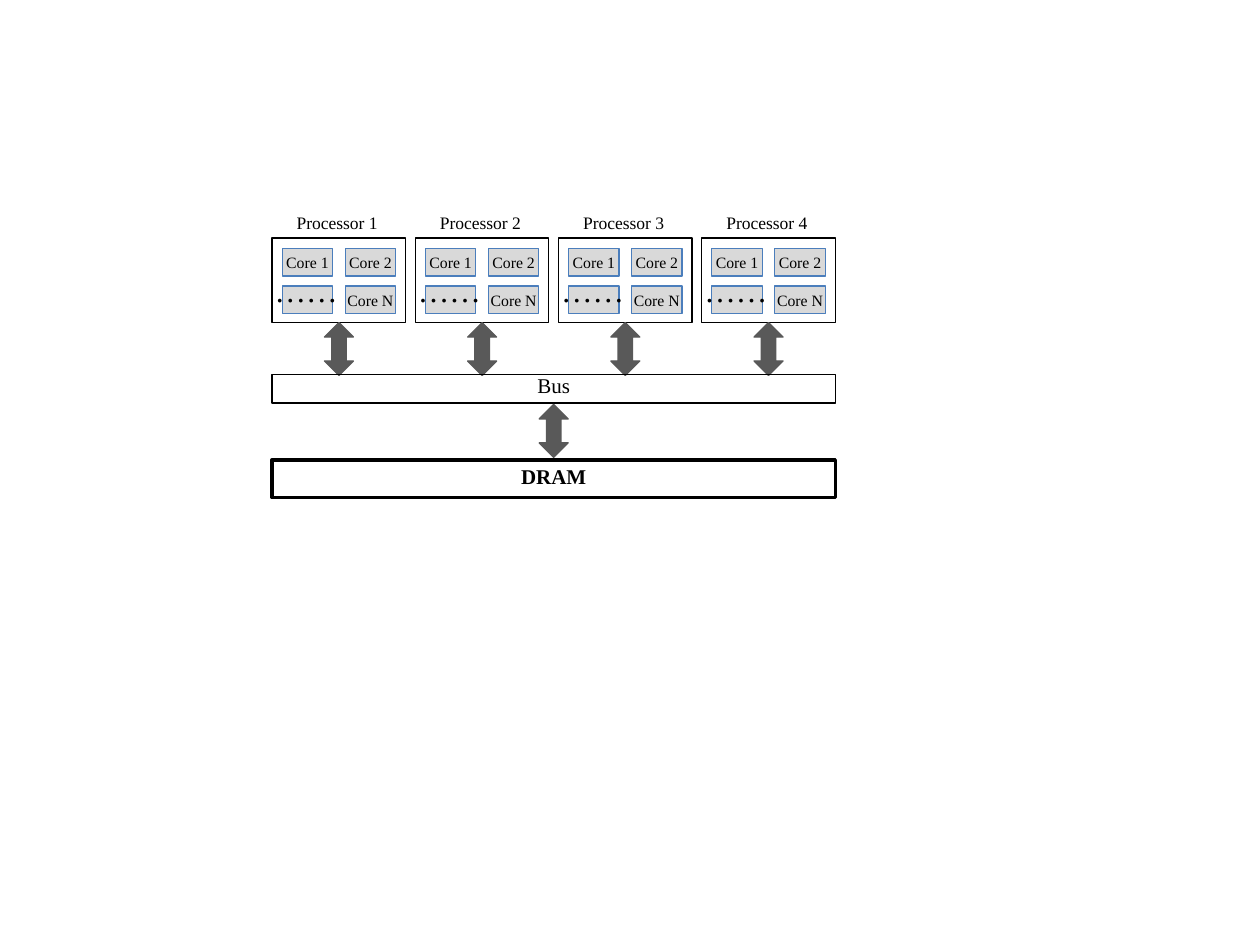
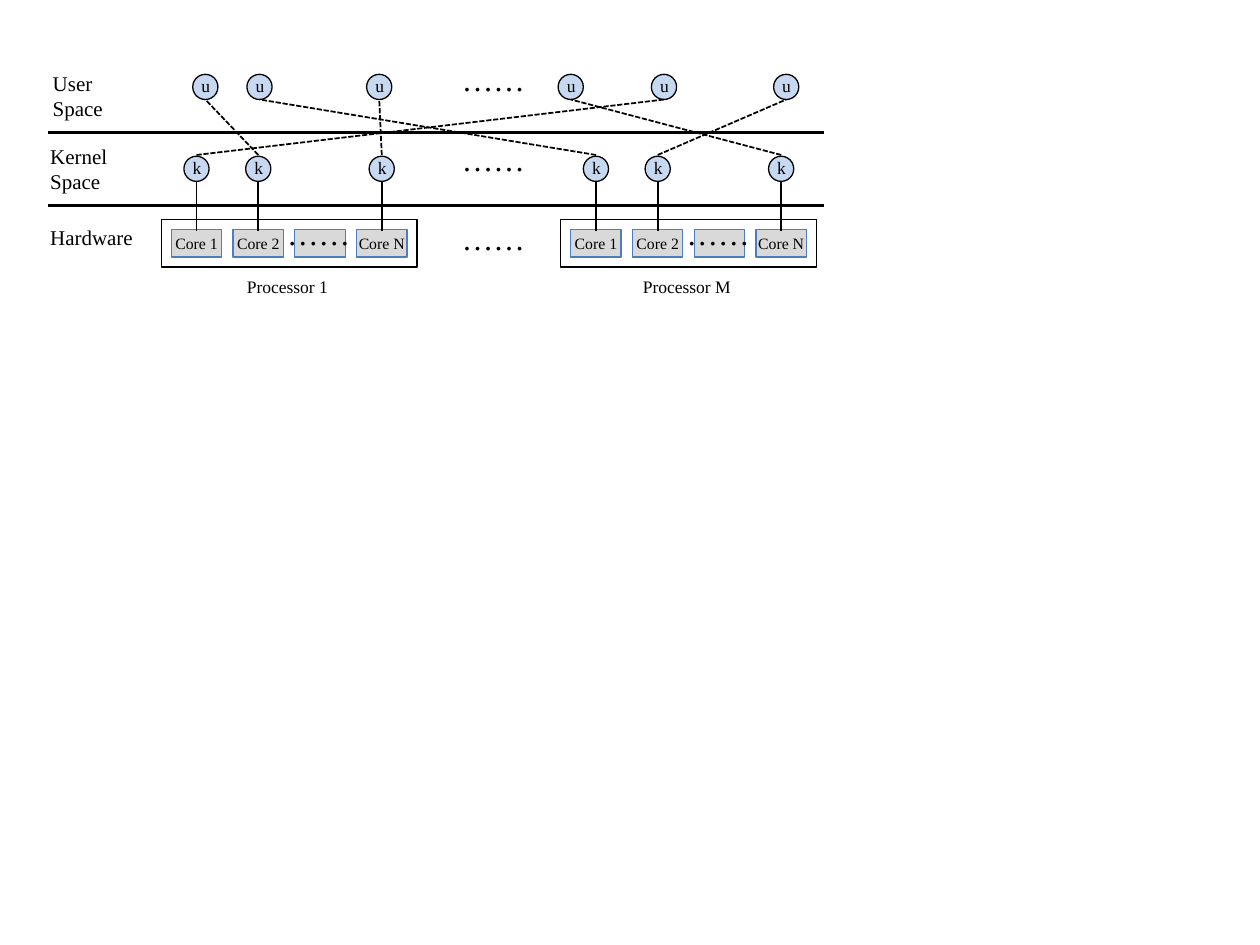
from pptx import Presentation
from pptx.dml.color import RGBColor
from pptx.enum.dml import MSO_LINE
from pptx.enum.shapes import MSO_CONNECTOR, MSO_SHAPE
from pptx.enum.text import MSO_ANCHOR, MSO_AUTO_SIZE, PP_ALIGN
from pptx.oxml.ns import qn
from pptx.util import Inches, Pt
from lxml import etree

RECT, OVAL = MSO_SHAPE.RECTANGLE, MSO_SHAPE.OVAL
ARROW = MSO_SHAPE.UP_DOWN_ARROW
STRAIGHT, DASH = MSO_CONNECTOR.STRAIGHT, MSO_LINE.SQUARE_DOT
LEFT, CENTER = PP_ALIGN.LEFT, PP_ALIGN.CENTER
MIDDLE, GROW = MSO_ANCHOR.MIDDLE, MSO_AUTO_SIZE.SHAPE_TO_FIT_TEXT

FONT = "Times New Roman"
BLACK, WHITE, GREY, DARK = "000000", "FFFFFF", "D9D9D9", "595959"
EDGE, PALE = "4B7EBC", "C6D9F1"
DOTS = "……"
TIGHT, NORMAL, BAR = (0, 0, 0, 0), (0.1, 0.05, 0.1, 0.05), (0.1, 0, 0.1, 0.05)

# Shared sizes in inches
CORE_W, CORE_H, PAD = 0.4, 0.22, 0.08
NODE = 0.2
ARROW_W, ARROW_H = 0.23, 0.42


def color(code):
    return RGBColor.from_string(code)


def write(frame, text, size, align, inset, bold=False):
    frame.text = text
    (frame.margin_left, frame.margin_top,
     frame.margin_right, frame.margin_bottom) = map(Inches, inset)
    for para in frame.paragraphs:
        para.alignment = align
        for run in para.runs:
            run.font.name, run.font.size = FONT, Pt(size)
            run.font.bold, run.font.color.rgb = bold, color(BLACK)


def block(slide, kind, box, fill=None, edge=BLACK, width=0.75):
    shape = slide.shapes.add_shape(kind, *map(Inches, box))
    shape.shadow.inherit = False
    if fill:
        shape.fill.solid()
        shape.fill.fore_color.rgb = color(fill)
    else:
        shape.fill.background()
    shape.line.color.rgb, shape.line.width = color(edge), Pt(width)
    return shape


def label(slide, box, text, size, align=CENTER, inset=NORMAL, wrap=True):
    frame = slide.shapes.add_textbox(*map(Inches, box)).text_frame
    write(frame, text, size, align, inset)
    frame.word_wrap, frame.auto_size = wrap, GROW


def link(slide, start, end, width=1, dash=None):
    line = slide.shapes.add_connector(STRAIGHT, *map(Inches, start + end))
    line.line.color.rgb, line.line.width = color(BLACK), Pt(width)
    if dash:
        line.line.dash_style = dash
    etree.SubElement(line._element.spPr, qn("a:effectLst"))


def core(slide, x, y, name):
    shape = block(slide, RECT, (x, y, CORE_W, CORE_H), GREY, EDGE)
    if name == DOTS:
        label(slide, (x - 0.06, y - 0.12, 0.5, 0.3), DOTS, 18,
              inset=TIGHT, wrap=False)
    else:
        write(shape.text_frame, name, 9, CENTER, TIGHT)
        shape.text_frame.vertical_anchor = MIDDLE


def chip(slide, box, title, rise, names, cols):
    """Frame, title and a grid of cores; returns the core centres."""
    x, y, w, h = box
    block(slide, RECT, box)
    label(slide, (x + w / 2 - 0.51, y + rise, 0.99, 0.27), title, 10)
    step = (w - 2 * PAD - CORE_W) / (cols - 1)
    spots = []
    for i, name in enumerate(names):
        row, col = divmod(i, cols)
        left = x + PAD + col * step
        core(slide, left, y + PAD + row * 0.3, name)
        if name != DOTS:
            spots.append(left + CORE_W / 2)
    return spots


def arrow(slide, mid, top):
    block(slide, ARROW, (mid - ARROW_W / 2, top, ARROW_W, ARROW_H), DARK, DARK)


def bar(slide, box, text, fill=None, width=0.75, bold=False):
    shape = block(slide, RECT, box, fill, BLACK, width)
    write(shape.text_frame, text, 12, CENTER, BAR, bold)
    shape.text_frame.vertical_anchor = MIDDLE


def memory(slide, x, y, w):
    """Four processors on a bus, with the memory below."""
    count, side, high = 4, 1.06, 0.67
    step = (w - side) / (count - 1)
    for i in range(count):
        left = x + i * step
        chip(slide, (left, y, side, high), f"Processor {i + 1}", -0.26,
             ["Core 1", "Core 2", DOTS, "Core N"], 2)
        arrow(slide, left + side / 2, y + high)
    bar(slide, (x, y + 1.08, w, 0.23), "Bus")
    arrow(slide, x + w / 2, y + 1.32)
    bar(slide, (x, y + 1.76, w, 0.3), "DRAM", WHITE, 2, True)


def nodes(slide, mids, top, letter):
    """A row of circles, each with its letter."""
    for mid in mids:
        left = mid - NODE / 2
        block(slide, OVAL, (left, top, NODE, NODE), PALE)
        label(slide, (left - 0.03, top - 0.04, 0.22, 0.27), letter, 10, LEFT)


def threads(slide, x, y, w):
    """User threads mapped to kernel threads, which sit on cores."""
    # Hardware lane
    kernel = []
    for left, name in ((x + 0.9, "1"), (x + 4.07, "M")):
        kernel += chip(slide, (left, y + 1.24, 2.03, 0.38),
                       f"Processor {name}", 0.4,
                       ["Core 1", "Core 2", DOTS, "Core N"], 4)
    # Lane names, gaps and borders
    for text, left, top, wide, high in (
            ("User\nSpace", -0.06, 0.01, 0.61, 0.5),
            ("Kernel\nSpace", -0.08, 0.59, 0.66, 0.5),
            ("Hardware", -0.08, 1.23, 0.88, 0.3)):
        label(slide, (x + left, y + top, wide, high), text, 12, LEFT,
              wrap=False)
    for top in (-0.02, 0.61, 1.24):
        label(slide, (x + 2.98, y + top, 1.11, 0.3), DOTS, 18, inset=TIGHT)
    for top in (0.55, 1.13):
        link(slide, (x, y + top), (x + w, y + top), 1.5)
    # Circles and their links
    user = [x + d for d in (1.25, 1.68, 2.63, 4.15, 4.89, 5.86)]
    nodes(slide, kernel, y + 0.74, "k")
    nodes(slide, user, y + 0.09, "u")
    for mid, peer in zip(kernel, (4, 0, 2, 1, 5, 3)):
        link(slide, (mid, y + 1.33), (mid, y + 0.94))
        link(slide, (mid, y + 0.73), (user[peer], y + 0.29), dash=DASH)


deck = Presentation()
deck.slide_width, deck.slide_height = Inches(10), Inches(7.5)
blank = deck.slide_layouts[6]
memory(deck.slides.add_slide(blank), 2.16, 1.89, 4.47)
threads(deck.slides.add_slide(blank), 0.38, 0.5, 6.16)
deck.save("out.pptx")
